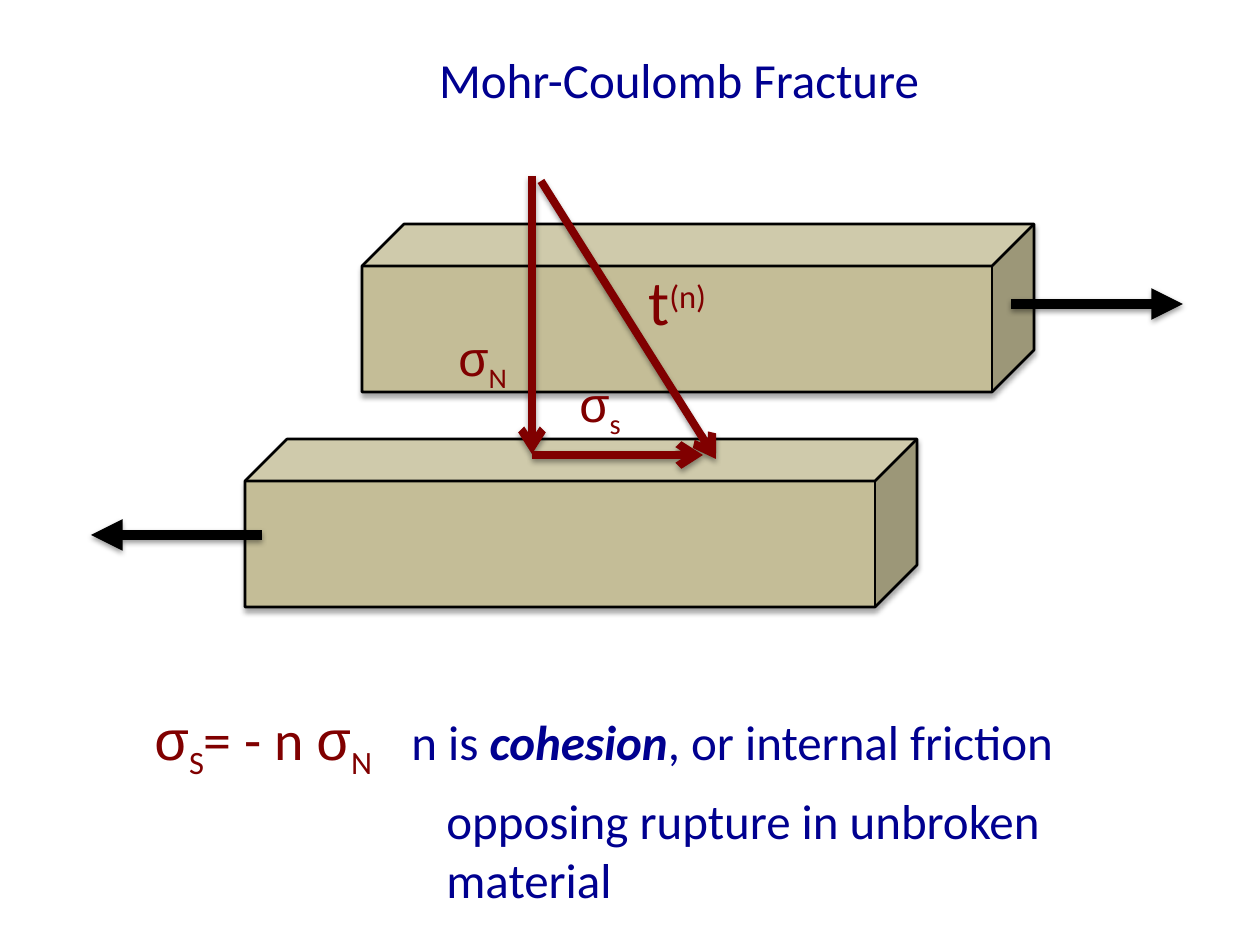
from lxml import etree
from pptx import Presentation
from pptx.dml.color import RGBColor
from pptx.enum.shapes import MSO_CONNECTOR, MSO_SHAPE
from pptx.enum.text import MSO_ANCHOR, MSO_AUTO_SIZE, PP_ALIGN
from pptx.oxml.ns import qn
from pptx.util import Emu, Pt

CUBE, STRAIGHT = MSO_SHAPE.CUBE, MSO_CONNECTOR.STRAIGHT
TOP, MIDDLE = MSO_ANCHOR.TOP, MSO_ANCHOR.MIDDLE
LEFT, CENTER = PP_ALIGN.LEFT, PP_ALIGN.CENTER
FIT_TEXT = MSO_AUTO_SIZE.SHAPE_TO_FIT_TEXT

EMU_PER_PX = 914400 / 126
BLACK, MAROON, NAVY, SAND = "000000", "800000", "000090", "C4BD97"


def px(n):
    return Emu(round(n * EMU_PER_PX))


def rgb(color):
    return RGBColor.from_string(color)


def add_xml(parent, tag, **attrs):
    return etree.SubElement(parent, qn(tag), {k: str(v) for k, v in attrs.items()})


class Drawing:
    """Holds the current slide and the style of its elements."""

    font = "Calibri"
    symbol_font = "Arial"

    def __init__(self, slide):
        self.slide = slide

    def shadow(self, sp, alpha, dist):
        """Cast a soft shadow straight down; call after the line is set."""
        effects = add_xml(sp._element.spPr, "a:effectLst")
        outer = add_xml(effects, "a:outerShdw", blurRad=40000, dist=dist,
                        dir=5400000, rotWithShape=0)
        color = add_xml(outer, "a:srgbClr", val=BLACK)
        add_xml(color, "a:alpha", val=alpha * 1000)

    def cube(self, x, y, w, h):
        sp = self.slide.shapes.add_shape(CUBE, px(x), px(y), px(w), px(h))
        sp.fill.solid()
        sp.fill.fore_color.rgb = rgb(SAND)
        sp.line.color.rgb = rgb(BLACK)
        sp.line.width = Pt(1.5)
        self.shadow(sp, alpha=35, dist=23000)

    def arrow(self, start, end, color, width, head):
        sp = self.slide.shapes.add_connector(STRAIGHT, *map(px, start + end))
        sp.line.color.rgb = rgb(color)
        sp.line.width = Pt(width)
        add_xml(sp.line._get_or_add_ln(), "a:tailEnd", type=head)
        self.shadow(sp, alpha=38, dist=20000)

    def text(self, box, *paragraphs, wrap=True, anchor=TOP, align=LEFT):
        """Add a text box; each paragraph is a list of (text, size, color, format)."""
        tf = self.slide.shapes.add_textbox(*map(px, box)).text_frame
        tf.word_wrap = wrap
        tf.vertical_anchor = anchor
        if anchor == TOP:
            tf.auto_size = FIT_TEXT
        for i, runs in enumerate(paragraphs):
            p = tf.add_paragraph() if i else tf.paragraphs[0]
            p.alignment = align
            for run in runs:
                self.run(p, *run)
        return tf

    def run(self, p, text, size, color, fmt=None):
        r = p.add_run()
        r.text = text
        r.font.color.rgb = rgb(color)
        values = {"name": self.font, "size": Pt(size)} | (fmt or {})
        baseline = values.pop("baseline", None)
        for name, value in values.items():
            setattr(r.font, name, value)
        if baseline:
            r.font._element.set("baseline", str(baseline * 1000))

    def sigma(self, size, subscript):
        """Return the runs of a stress symbol with its subscript."""
        return [("σ", size, MAROON, {"name": self.symbol_font}),
                (subscript, size, MAROON, {"baseline": -25})]


def main():
    prs = Presentation()
    prs.slide_width, prs.slide_height = px(1260), px(945)
    d = Drawing(prs.slides.add_slide(prs.slide_layouts[6]))

    d.text((112, 0, 1134, 158), [("Mohr-Coulomb Fracture", 28, NAVY)],
           anchor=MIDDLE, align=CENTER)

    tf = d.text(
        (142, 698, 1040, 199),
        [*d.sigma(32, "S"), ("= - n ", 32, MAROON), *d.sigma(32, "N\t"),
         ("n is ", 28, NAVY),
         ("cohesion", 28, NAVY, {"bold": True, "italic": True}),
         (", or internal friction", 28, NAVY)],
        [("opposing rupture in unbroken material", 28, NAVY)])
    law, meaning = tf.paragraphs
    tabs = add_xml(law._p.get_or_add_pPr(), "a:tabLst")
    add_xml(tabs, "a:tab", pos=px(257), algn="l")
    meaning.space_before = Pt(5.6)
    meaning._p.get_or_add_pPr().set("marL", str(px(292)))

    # Sliding blocks
    d.cube(362, 224, 672, 168)
    d.arrow((1011, 304), (1183, 304), BLACK, 6, "triangle")
    d.cube(245, 439, 672, 168)
    d.arrow((262, 535), (91, 535), BLACK, 6, "triangle")

    # Traction and its normal and shear parts
    for start, end in [((532, 176), (532, 454)),
                       ((541, 181), (716, 459)),
                       ((532, 455), (703, 455))]:
        d.arrow(start, end, MAROON, 4.5, "arrow")
    traction = [("t", 36, MAROON), ("(n)", 32, MAROON, {"baseline": 30})]
    for box, runs in [((446, 321, 77, 72), d.sigma(28, "N")),
                      ((567, 367, 69, 72), d.sigma(28, "s")),
                      ((636, 256, 89, 89), traction)]:
        d.text(box, runs, wrap=False)

    prs.save("out.pptx")


if __name__ == "__main__":
    main()
